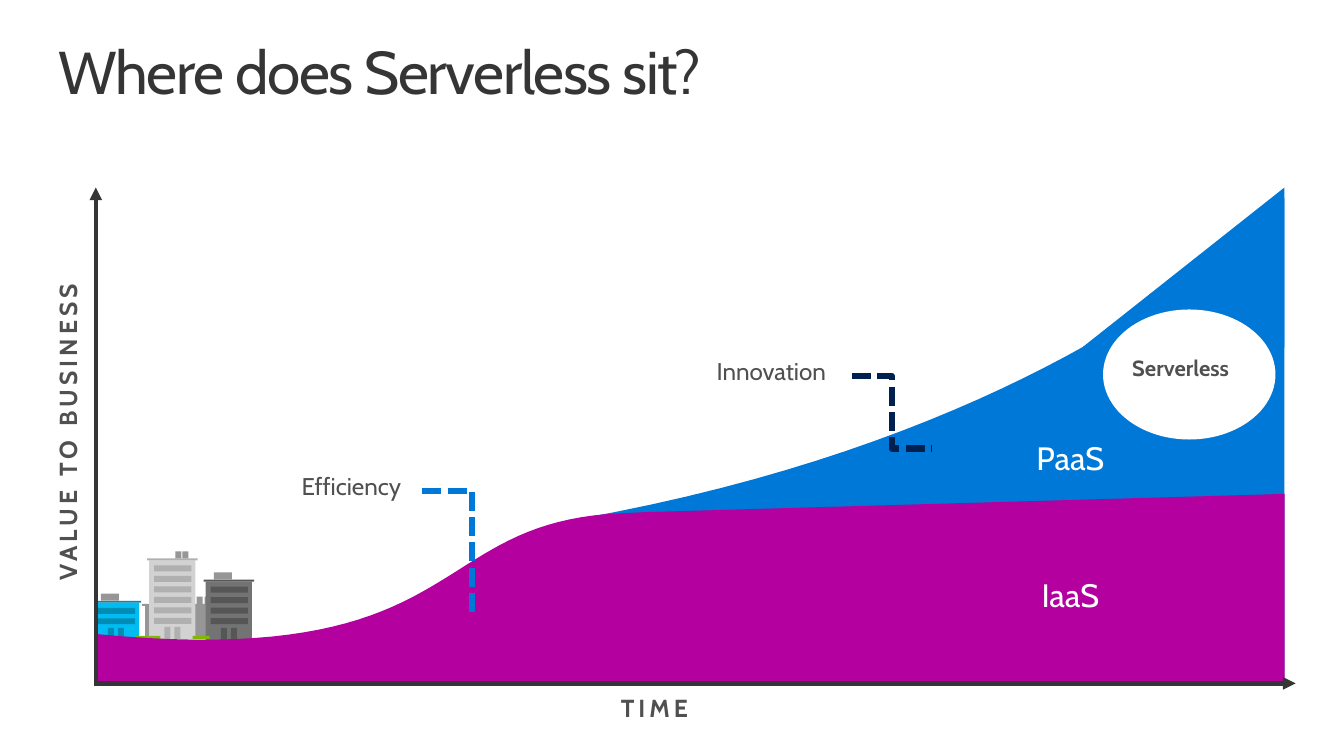
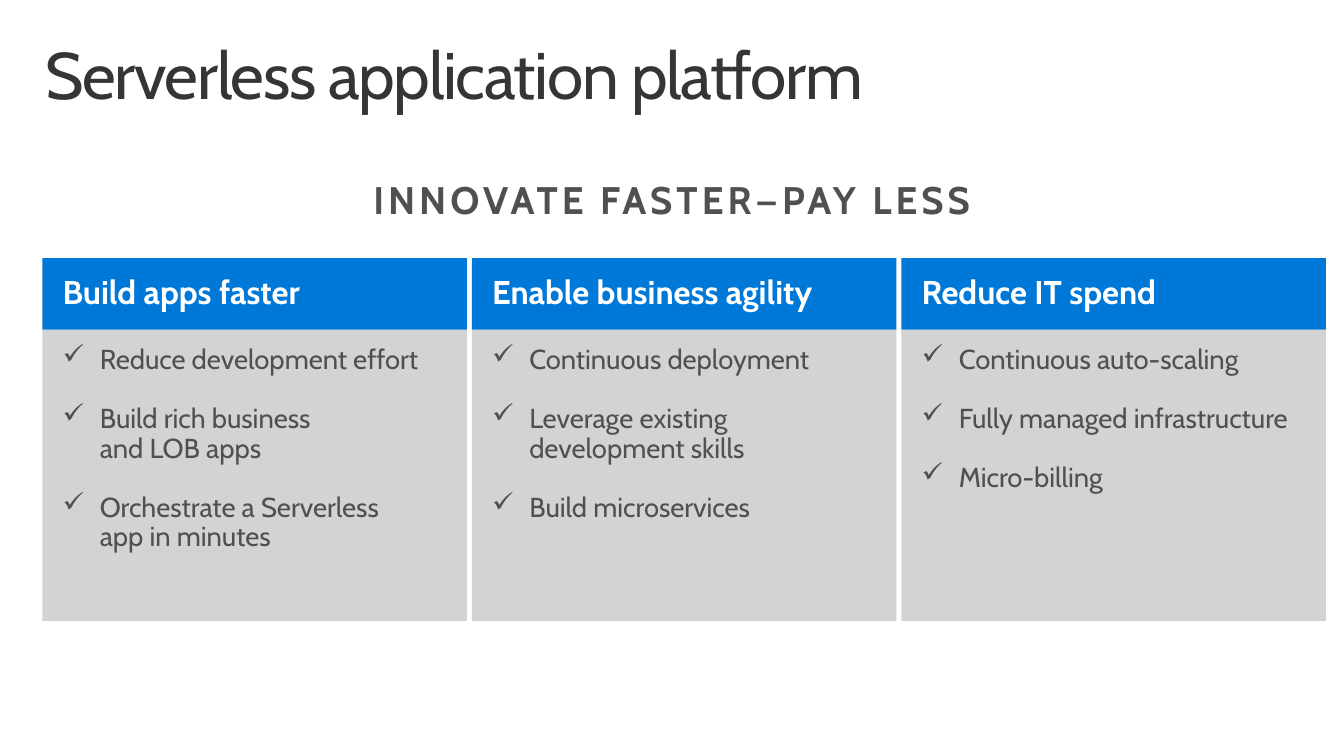
from lxml.etree import SubElement
from pptx import Presentation
from pptx.dml.color import RGBColor
from pptx.enum.dml import MSO_LINE
from pptx.enum.shapes import MSO_CONNECTOR, MSO_SHAPE
from pptx.enum.text import MSO_ANCHOR, PP_ALIGN
from pptx.oxml.ns import qn
from pptx.util import Inches, Pt

# The grid has square cells of one inch; points and boxes are in cells.
WIDE, HIGH = 13.33, 7.5
FONT = "Cabin"
HEX = {
    "dark": "353535", "text": "505050", "white": "FFFFFF",
    "blue": "0078D7", "navy": "002050", "plum": "B4009E",
    "card": "D3D3D3", "cyan": "00BCF2", "teal": "008DB5",
    "coal": "737373", "soot": "565656", "pale": "D2D2D2",
    "ash": "B0B0B0", "stone": "969696", "grass": "7FBA00",
}

LEFT, RIGHT, BASE, TOP = 0.95, 12.74, 6.78, 1.86
WALL, ROOF = 0.46, 0.02

CARDS = [
    ("Build apps faster",
     ["Reduce development effort", "Build rich business\vand LOB apps",
      "Orchestrate a Serverless\vapp in minutes"]),
    ("Enable business agility",
     ["Continuous deployment", "Leverage existing development skills",
      "Build microservices"]),
    ("Reduce IT spend",
     ["Continuous auto-scaling", "Fully managed infrastructure",
      "Micro-billing"]),
]


def cells(*sizes):
    return [Inches(size) for size in sizes]


def color(name):
    return RGBColor.from_string(HEX[name])


def paint(shape, fill):
    shape.shadow.inherit = False
    shape.fill.solid()
    shape.fill.fore_color.rgb = color(fill)
    shape.line.fill.background()
    return shape


def block(slide, box, fill, kind=MSO_SHAPE.RECTANGLE):
    return paint(slide.shapes.add_shape(kind, *cells(*box)), fill)


def outline(slide, points, fill):
    spots = [cells(*point) for point in points]
    form = slide.shapes.build_freeform(*spots[0])
    form.add_line_segments(spots[1:], close=True)
    return paint(form.convert_to_shape(), fill)


def curve(start, one, two, end, steps=40):
    """Points of a cubic curve, both ends included."""
    points = []
    for step in range(steps + 1):
        t = step / steps
        u = 1 - t
        points.append([
            u**3 * a + 3 * u * u * t * b + 3 * u * t * t * c + t**3 * d
            for a, b, c, d in zip(start, one, two, end)])
    return points


def write(shape, lines, size, ink="text", bold=False, track=0,
          align=PP_ALIGN.LEFT, anchor=MSO_ANCHOR.TOP, pad=(0.2, 0.16)):
    """Fill a shape with text; track is the letter spacing in points."""
    frame = shape.text_frame
    frame.word_wrap = True
    frame.vertical_anchor = anchor
    frame.margin_left = frame.margin_right = Inches(pad[0])
    frame.margin_top = frame.margin_bottom = Inches(pad[1])
    frame.text = "\n".join(lines)
    for para in frame.paragraphs:
        para.alignment = align
        para.line_spacing = 0.9
        para.space_before = Pt(0)
        for run in para.runs:
            font = run.font
            font.name, font.size, font.bold = FONT, Pt(size), bold
            font.color.rgb = color(ink)
            if track:
                run._r.get_or_add_rPr().set("spc", str(round(track * 100)))
    return shape


def label(slide, box, text, size, turn=0, **style):
    shape = slide.shapes.add_textbox(*cells(*box))
    shape.rotation = turn
    write(shape, [text], size, **style)


def start(deck, text, left, size):
    slide = deck.slides.add_slide(deck.slide_layouts[5])
    title = slide.shapes.title
    title.left, title.top, title.width, title.height = cells(
        left, 0.32, 13.04 - left, 0.98)
    write(title, [text], size, "dark", track=-1, pad=(0.16, 0.1))
    return slide


def link(slide, ends, ink, width, kind=MSO_CONNECTOR.STRAIGHT):
    line = slide.shapes.add_connector(kind, *cells(*ends))
    line.line.color.rgb = color(ink)
    line.line.width = Pt(width)
    SubElement(line._element.spPr, qn("a:effectLst"))
    return line


def axis(slide, ends):
    line = link(slide, ends, "dark", 3)
    SubElement(line.line._get_or_add_ln(), qn("a:tailEnd"), type="triangle")


def lead(slide, ends, ink, bends):
    """Dashed elbow that leads from a label, with one or two bends."""
    line = link(slide, ends, ink, 4.5, MSO_CONNECTOR.ELBOW)
    line.line.dash_style = MSO_LINE.SQUARE_DOT
    shape = line._element.spPr.find(qn("a:prstGeom"))
    shape.set("prst", f"bentConnector{bends + 1}")


def shed(slide, x, y=5.92):
    """Low building with two stacks, seen behind the others."""
    sides = [(0.28, 0.07), (0.28, 0), (0.34, 0), (0.34, 0.07),
             (0.36, 0.07), (0.36, 0), (0.41, 0), (0.41, 0.07),
             (0.51, 0.07), (0.51, 0.09), (0.49, 0.09), (0.49, 0.42),
             (0.03, 0.42), (0.03, 0.09), (0, 0.09), (0, 0.07)]
    outline(slide, [(x + a, y + b) for a, b in sides], "stone")


def tower(slide, x, y, high, rows, wall, trim, stacks):
    """Building with rows of windows; stacks are (offset, width) pairs."""
    near, eave = max(x, LEFT + 0.01), max(x - ROOF, LEFT + 0.01)
    block(slide, (near, y, x + WALL - near, high), wall)
    block(slide, (eave, y - ROOF, x + WALL + ROOF - eave, ROOF), trim)
    for door in (0.15, 0.25):
        block(slide, (x + door, y + high - 0.12, 0.06, 0.12), trim)
    for row in range(rows):
        block(slide, (x + 0.05, y + 0.05 + row * 0.104, 0.37, 0.06), trim)
    for shift, width in stacks:
        block(slide, (x + shift, y - 0.09, width, 0.07), "stone")


def town(slide):
    for x in (1.67, 1.41):
        shed(slide, x)
    tower(slide, 2.04, 5.77, 0.58, 4, "coal", "soot", [(0.08, 0.18)])
    tower(slide, 0.92, 5.98, 0.37, 2, "cyan", "teal", [(0.08, 0.18)])
    tower(slide, 1.48, 5.56, 0.78, 6, "pale", "ash",
          [(0.26, 0.06), (0.33, 0.06)])
    for x, width in ((1.91, 0.17), (1.34, 0.25)):
        block(slide, (x, 6.31, width, 0.03), "grass")


def areas(slide):
    rise = curve((5.73, 5.15), (10.76, 4.25), (12.72, 1.98), (RIGHT, 1.96))
    outline(slide, rise + [(RIGHT, BASE), (6.77, BASE)], "blue")
    swell = curve((LEFT, 6.29), (4.58, 6.64), (4.21, 5.25), (6.02, 5.1))
    outline(slide, swell + [(6.41, 5.08), (6.78, 5.07), (RIGHT, 4.9),
                            (RIGHT, BASE), (LEFT, BASE)], "plum")
    outline(slide, [(RIGHT, TOP), (RIGHT, 3.45), (10.73, 3.45)], "blue")


def value(deck):
    slide = start(deck, "Where does Serverless sit?", 0.42, 43.1)
    town(slide)
    areas(slide)
    axis(slide, (LEFT, BASE, LEFT, TOP))
    axis(slide, (LEFT - 0.02, BASE, 12.85, BASE))
    pad, mid = (0.19, 0.15), PP_ALIGN.CENTER
    for box, text, turn in (((-1.72, 4, 4.86, 0.58), "VALUE TO BUSINESS", 270),
                            ((4.63, 6.77, 3.72, 0.58), "TIME", 0)):
        label(slide, box, text, 17.6, turn, bold=True, track=2.9,
              align=mid, pad=pad)
    for box, text in (((2.77, 4.58, 1.43, 0.57), "Efficiency"),
                      ((6.84, 3.44, 1.62, 0.57), "Innovation")):
        label(slide, box, text, 17.3, align=mid, pad=pad)
    lead(slide, (8.45, 3.73, 9.24, 4.45), "navy", 2)
    lead(slide, (4.19, 4.87, 4.68, 6.09), "blue", 1)
    for box, text in (((10.09, 4.24, 1.3, 0.67), "PaaS"),
                      ((10.14, 5.6, 1.3, 0.67), "IaaS")):
        label(slide, box, text, 23.1, ink="white", pad=pad)
    block(slide, (10.94, 3.07, 1.71, 1.29), "white", MSO_SHAPE.OVAL)
    label(slide, (11.03, 3.43, 1.63, 0.55), "Serverless", 15.7, bold=True)


def ticks(shape):
    """Give each paragraph a hanging tick, with a gap of one line."""
    for rank, para in enumerate(shape.text_frame.paragraphs):
        para.space_before = Pt(21 if rank else 0)
        props = para._p.get_or_add_pPr()
        props.set("marL", str(Inches(0.37)))
        props.set("indent", str(-Inches(0.37)))
        SubElement(props, qn("a:buChar"), char="✓")


def card(slide, rank, head, items):
    left, width = 0.42 + rank * 4.26, 4.21
    body = block(slide, (left, 3.27, width, 2.89), "card")
    ticks(write(body, items, 19.6))
    band = block(slide, (left, 2.56, width, 0.71), "blue")
    write(band, [head], 23.5, "white", bold=True, anchor=MSO_ANCHOR.MIDDLE)


def gains(deck):
    slide = start(deck, "Serverless application platform", 0.29, 47)
    label(slide, (0.73, 1.64, 11.87, 0.92), "INNOVATE FASTER—PAY LESS", 27.4,
          bold=True, track=2.9, align=PP_ALIGN.CENTER)
    for rank, (head, items) in enumerate(CARDS):
        card(slide, rank, head, items)


def main():
    deck = Presentation()
    deck.slide_width, deck.slide_height = cells(WIDE, HIGH)
    value(deck)
    gains(deck)
    deck.save("out.pptx")


if __name__ == "__main__":
    main()
